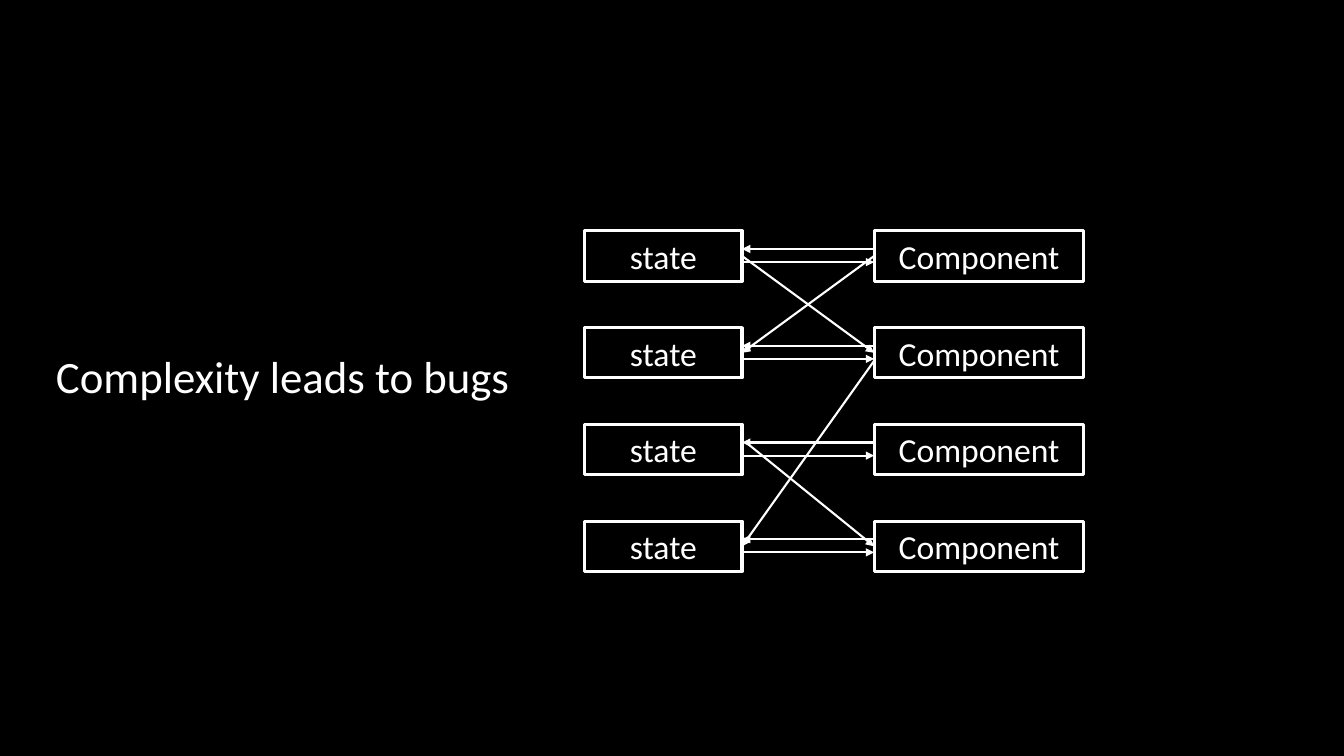
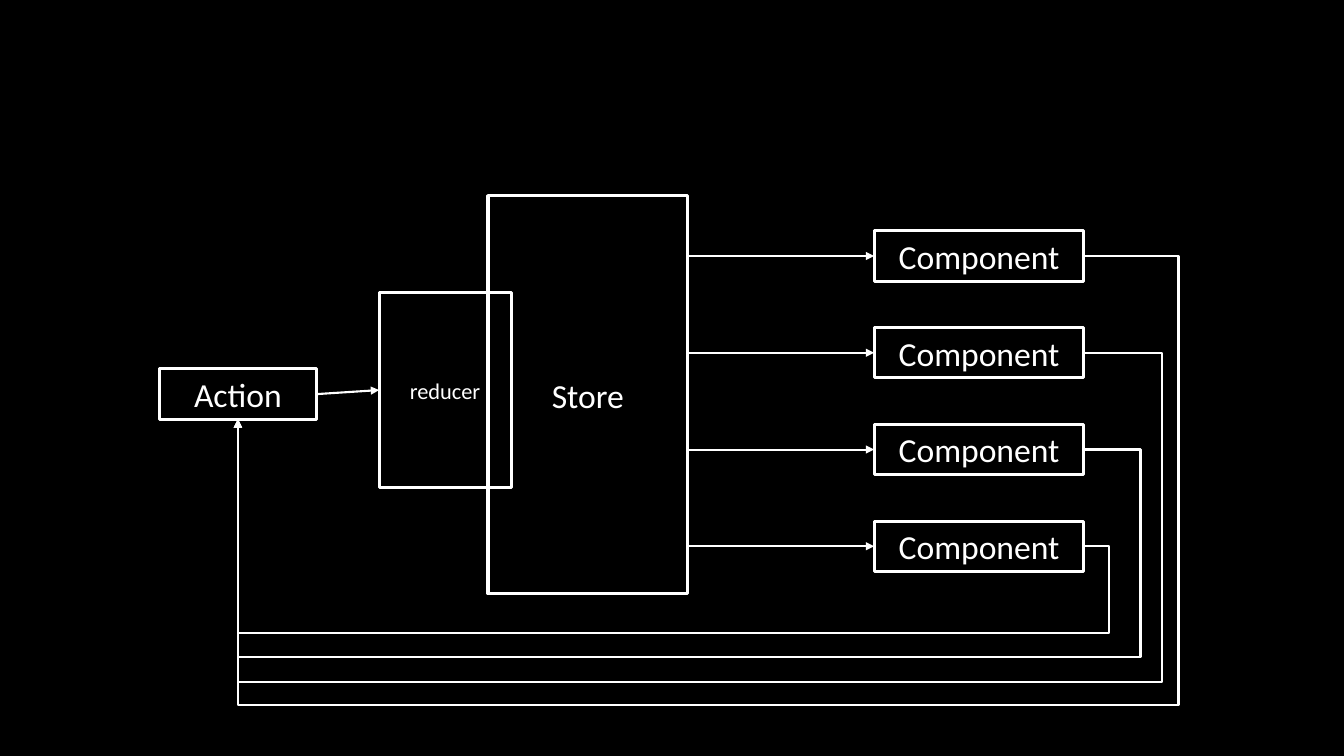
from collections import namedtuple

from lxml import etree
from pptx import Presentation
from pptx.dml.color import RGBColor
from pptx.enum.shapes import MSO_CONNECTOR, MSO_SHAPE
from pptx.enum.text import MSO_ANCHOR, MSO_AUTO_SIZE, PP_ALIGN
from pptx.oxml.ns import qn
from pptx.util import Inches, Pt

RECT = MSO_SHAPE.RECTANGLE
STRAIGHT, ELBOW = MSO_CONNECTOR.STRAIGHT, MSO_CONNECTOR.ELBOW
TOP, MIDDLE = MSO_ANCHOR.TOP, MSO_ANCHOR.MIDDLE
CENTER = PP_ALIGN.CENTER
FIT_SHAPE = MSO_AUTO_SIZE.SHAPE_TO_FIT_TEXT
LEFT, BOTTOM, RIGHT = 1, 2, 3

COLORS = {"background": "000000", "ink": "FFFFFF"}
FONT = "Calibri"
TITLE_LAYOUT, BLANK_LAYOUT = 5, 6

ROWS = 4
ROW_TOP, ROW_PITCH, ROW_HEIGHT = Inches(2.29), Inches(0.96), Inches(0.5)
SMALL_WIDTH = Inches(1.56)
COMPONENT_LEFT, COMPONENT_WIDTH = Inches(8.67), Inches(2.08)

Port = namedtuple("Port", "shape site x y")


def color(name):
    """Return the named palette colour."""
    return RGBColor.from_string(COLORS[name])


def write(shape, text, size=24, anchor=MIDDLE, fit=None):
    """Put one centred line of text in a shape."""
    tf = shape.text_frame
    tf.word_wrap = True
    tf.vertical_anchor = anchor
    if fit is not None:
        tf.auto_size = fit
    p = tf.paragraphs[0]
    p.alignment = CENTER
    r = p.add_run()
    r.text = text
    r.font.name = FONT
    r.font.size = Pt(size)
    r.font.color.rgb = color("ink")


def box(s, text, left, top, width, height, **fmt):
    """Add an outlined box with a label."""
    sp = s.shapes.add_shape(RECT, left, top, width, height)
    sp.shadow.inherit = False
    sp.fill.background()
    sp.line.color.rgb = color("ink")
    sp.line.width = Pt(2.25)
    write(sp, text, **fmt)
    return sp


def column(s, text, left, width):
    """Add a column of equally spaced boxes with the same label."""
    return [box(s, text, left, ROW_TOP + i * ROW_PITCH, width, ROW_HEIGHT)
            for i in range(ROWS)]


def components(s):
    """Add the component column that both slides share."""
    return column(s, "Component", COMPONENT_LEFT, COMPONENT_WIDTH)


def port(shape, site, dx=0, dy=0):
    """Return a point at a side's middle, joined to the shape unless shifted."""
    x = {LEFT: shape.left, RIGHT: shape.left + shape.width}.get(
        site, shape.left + shape.width // 2)
    y = shape.top + (shape.height if site == BOTTOM else shape.height // 2)
    return Port(None if dx or dy else shape, site, x + dx, y + dy)


def arrow(s, begin, end, kind=STRAIGHT):
    """Draw an arrow between two ports."""
    c = s.shapes.add_connector(kind, begin.x, begin.y, end.x, end.y)
    if begin.shape is not None:
        c.begin_connect(begin.shape, begin.site)
    if end.shape is not None:
        c.end_connect(end.shape, end.site)
    c.line.color.rgb = color("ink")
    c.line.width = Pt(1.5)
    sp_pr = c._element.spPr
    etree.SubElement(sp_pr.find(qn("a:ln")), qn("a:tailEnd"), type="triangle")
    etree.SubElement(sp_pr, qn("a:effectLst"))
    return c


def return_arrow(s, begin, end, right, bottom):
    """Route an arrow out to the right, below everything and back up."""
    c = arrow(s, begin, end, ELBOW)
    geom = c._element.spPr.find(qn("a:prstGeom"))
    geom.set("prst", "bentConnector4")
    guides = geom.find(qn("a:avLst"))
    if guides is None:
        guides = etree.SubElement(geom, qn("a:avLst"))
    bends = {"adj1": (right - begin.x) / (end.x - begin.x),
             "adj2": (bottom - begin.y) / (end.y - begin.y)}
    for name, share in bends.items():
        etree.SubElement(guides, qn("a:gd"), name=name,
                         fmla=f"val {round(share * 100000)}")


def complexity_slide(prs):
    """Build the slide where states and components are tangled."""
    s = prs.slides.add_slide(prs.slide_layouts[TITLE_LAYOUT])
    title = s.shapes.title
    title.left, title.top = Inches(0.24), Inches(3.41)
    title.width, title.height = Inches(5.13), Inches(0.64)
    write(title, "Complexity leads to bugs", size=32, anchor=TOP, fit=FIT_SHAPE)

    comps = components(s)
    states = column(s, "state", Inches(5.8), SMALL_WIDTH)
    above, below = Inches(-0.07), Inches(0.06)
    for state, comp in zip(states, comps):
        arrow(s, port(state, RIGHT, dy=below), port(comp, LEFT, dy=below))
        arrow(s, port(comp, LEFT, dy=above), port(state, RIGHT, dy=above))

    arrow(s, port(states[0], RIGHT), port(comps[1], LEFT))
    arrow(s, port(comps[0], LEFT), port(states[1], RIGHT))
    arrow(s, port(comps[1], LEFT, dy=Inches(0.08)), port(states[3], RIGHT))
    arrow(s, port(states[2], RIGHT, dx=Inches(0.04), dy=above),
          port(comps[3], LEFT))


def store_slide(prs):
    """Build the slide where one store feeds every component."""
    s = prs.slides.add_slide(prs.slide_layouts[BLANK_LAYOUT])
    comps = components(s)
    action = box(s, "Action", Inches(1.58), Inches(3.66), SMALL_WIDTH, ROW_HEIGHT)
    store = box(s, "Store", Inches(4.84), Inches(1.94), Inches(1.98), Inches(3.95))
    reducer = box(s, "reducer", Inches(3.76), Inches(2.9), Inches(1.31),
                  Inches(1.94), size=16)

    arrow(s, port(action, RIGHT), port(reducer, LEFT))
    lanes = [(11.69, 6.99), (11.52, 6.77), (11.31, 6.52), (11, 6.28)]
    for comp, (right, bottom) in zip(comps, lanes):
        target = port(comp, LEFT)
        middle = port(store, RIGHT)
        arrow(s, port(store, RIGHT, dy=target.y - middle.y), target)
        return_arrow(s, port(comp, RIGHT), port(action, BOTTOM),
                     Inches(right), Inches(bottom))


def main():
    """Build and save the presentation."""
    prs = Presentation()
    prs.slide_width, prs.slide_height = Inches(13.33), Inches(7.5)
    fill = prs.slide_master.background.fill
    fill.solid()
    fill.fore_color.rgb = color("background")
    complexity_slide(prs)
    store_slide(prs)
    prs.save("out.pptx")


if __name__ == "__main__":
    main()
